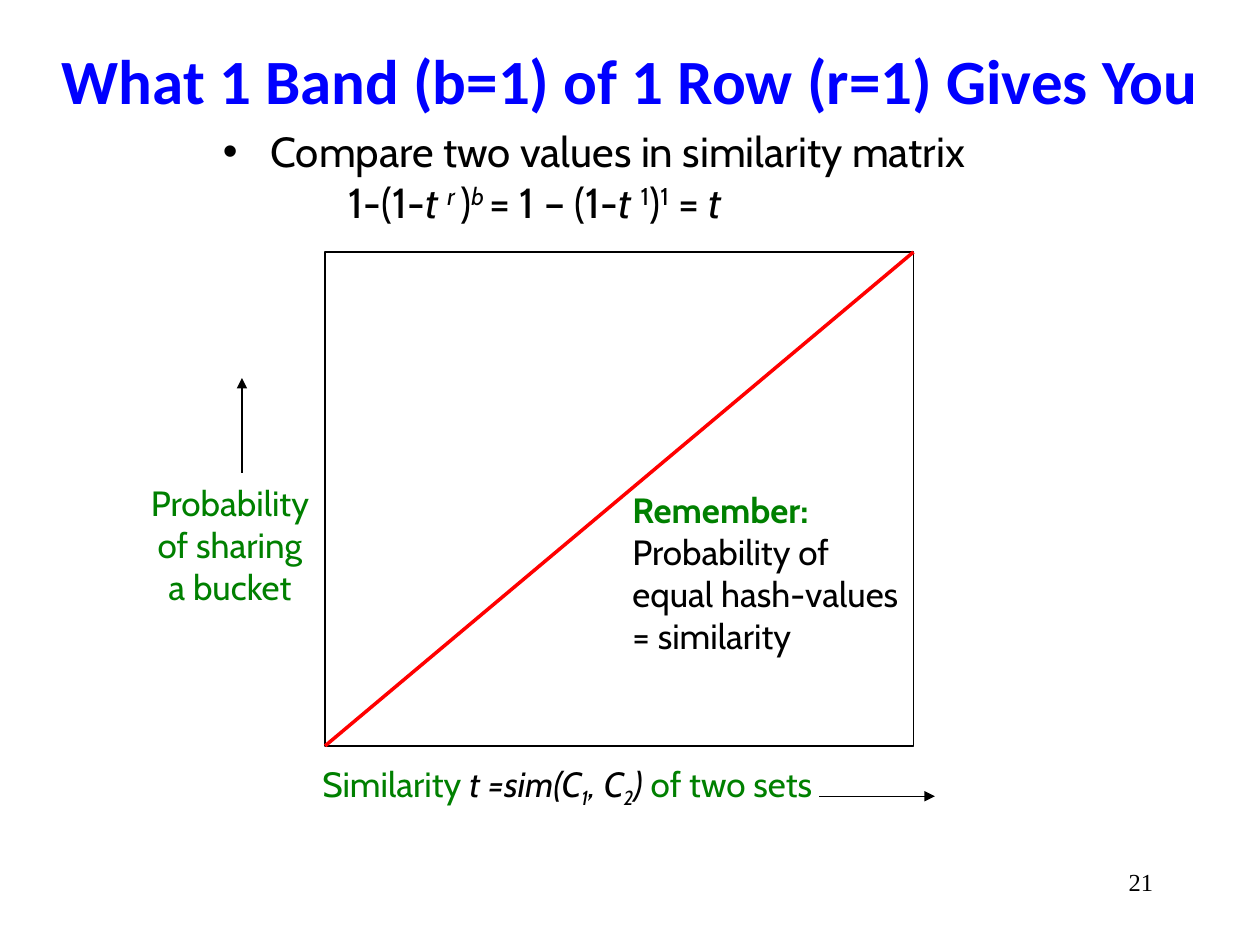
from lxml import etree
from pptx import Presentation
from pptx.dml.color import RGBColor
from pptx.enum.shapes import MSO_CONNECTOR, MSO_SHAPE
from pptx.enum.text import MSO_ANCHOR, PP_ALIGN
from pptx.oxml.ns import qn
from pptx.util import Inches, Pt

BLACK, GREEN, BLUE, RED = "000000", "008000", "0000FF", "FF0000"
SUP, SUB = 30, -25


def rgb(value):
    return RGBColor.from_string(value)


def add_run(p, text, size=20, color=BLACK, font="Cabin", bold=False,
            italic=False, base=0):
    r = p.add_run()
    r.text = text
    f = r.font
    f.name, f.size, f.bold, f.italic = font, Pt(size), bold, italic
    f.color.rgb = rgb(color)
    if base:
        r._r.get_or_add_rPr().set("baseline", str(base * 1000))


def fill_text(tf, paragraphs, align=PP_ALIGN.LEFT):
    """Each paragraph is a list of (text, run options)."""
    tf.word_wrap = True
    for i, runs in enumerate(paragraphs):
        p = tf.paragraphs[0] if i == 0 else tf.add_paragraph()
        p.alignment = align
        for text, options in runs:
            add_run(p, text, **options)


def add_text(s, box, paragraphs, align=PP_ALIGN.LEFT):
    tf = s.shapes.add_textbox(*map(Inches, box)).text_frame
    fill_text(tf, paragraphs, align)
    return tf


def add_line(s, start, end, color=BLACK, width=0.75, arrow=False):
    line = s.shapes.add_connector(MSO_CONNECTOR.STRAIGHT,
                                  *map(Inches, start + end))
    line.line.color.rgb = rgb(color)
    line.line.width = Pt(width)
    if arrow:
        ln = line.line._get_or_add_ln()
        etree.SubElement(ln, qn("a:tailEnd")).set("type", "triangle")
    etree.SubElement(line._element.spPr, qn("a:effectLst"))


def set_indent(p, left, first=0):
    pPr = p._p.get_or_add_pPr()
    pPr.set("marL", str(Inches(left)))
    pPr.set("indent", str(Inches(first)))
    return pPr


def add_title(s, box, text):
    title = s.shapes.title
    title.left, title.top, title.width, title.height = map(Inches, box)
    tf = title.text_frame
    tf.vertical_anchor = MSO_ANCHOR.MIDDLE
    options = dict(size=36, color=BLUE, font="Calibri", bold=True)
    fill_text(tf, [[(text, options)]], PP_ALIGN.CENTER)


def add_formula(s, box):
    plain = dict(size=24)
    var = dict(size=24, italic=True)
    sup = dict(size=24, base=SUP)
    var_sup = dict(var, base=SUP)
    tf = add_text(s, box, [
        [("Compare two values in similarity matrix", plain)],
        [("1-(1-", plain), ("t ", var), ("r ", var_sup), (")", plain),
         ("b ", var_sup), ("= 1 – (1-", plain), ("t ", var), ("1", sup),
         (")", plain), ("1", sup), (" = ", plain), ("t", var)],
    ])
    bullet, formula = tf.paragraphs
    pPr = set_indent(bullet, 0.38, -0.38)
    etree.SubElement(pPr, qn("a:buFont")).set("typeface", "Arial")
    etree.SubElement(pPr, qn("a:buChar")).set("char", "•")
    set_indent(formula, 1)


def add_plot(s, left, top, width, height):
    right, bottom = left + width, top + height
    # Frame and diagonal
    frame = s.shapes.add_shape(MSO_SHAPE.RECTANGLE,
                               *map(Inches, (left, top, width, height)))
    frame.shadow.inherit = False
    frame.fill.background()
    frame.line.color.rgb = rgb(BLACK)
    frame.line.width = Pt(0.75)
    add_line(s, (left, bottom), (right, top), RED, 2)

    # Note under the diagonal
    add_text(s, (left + 2.34, top + 1.83, 2.42, 1.45), [
        [("Remember:", dict(color=GREEN, bold=True))],
        [("Probability of", {})],
        [("equal hash-values", {})],
        [("= similarity", {})],
    ])

    # Horizontal axis
    green, italic = dict(color=GREEN), dict(italic=True)
    sub = dict(italic=True, base=SUB)
    add_text(s, (left - 0.12, bottom + 0.08, 4.3, 0.43), [
        [("Similarity ", green), ("t =sim(C", italic), ("1", sub),
         (", C", italic), ("2", sub), (")", italic),
         (" of two sets", green)],
    ])
    add_line(s, (left + 3.92, bottom + 0.4), (right + 0.17, bottom + 0.4),
             arrow=True)

    # Vertical axis
    add_text(s, (left - 1.5, top + 1.77, 1.49, 1.11),
             [[(text, green)] for text in
              ("Probability", "of sharing", "a bucket")], PP_ALIGN.CENTER)
    add_line(s, (left - 0.66, top + 1.75), (left - 0.66, top + 1), arrow=True)


def main():
    prs = Presentation()
    prs.slide_width, prs.slide_height = Inches(10), Inches(7.5)
    s = prs.slides.add_slide(prs.slide_layouts[5])
    add_title(s, (0.21, 0.17, 9.58, 0.92),
              "What 1 Band (b=1) of 1 Row (r=1) Gives You")
    add_plot(s, 2.58, 2, 4.67, 3.92)
    add_formula(s, (1.67, 0.95, 6.5, 0.91))
    # Slide number
    add_text(s, (7.17, 6.83, 2.08, 0.5),
             [[("21", dict(size=14, font="Times New Roman"))]],
             PP_ALIGN.RIGHT)
    prs.save("out.pptx")


if __name__ == "__main__":
    main()
